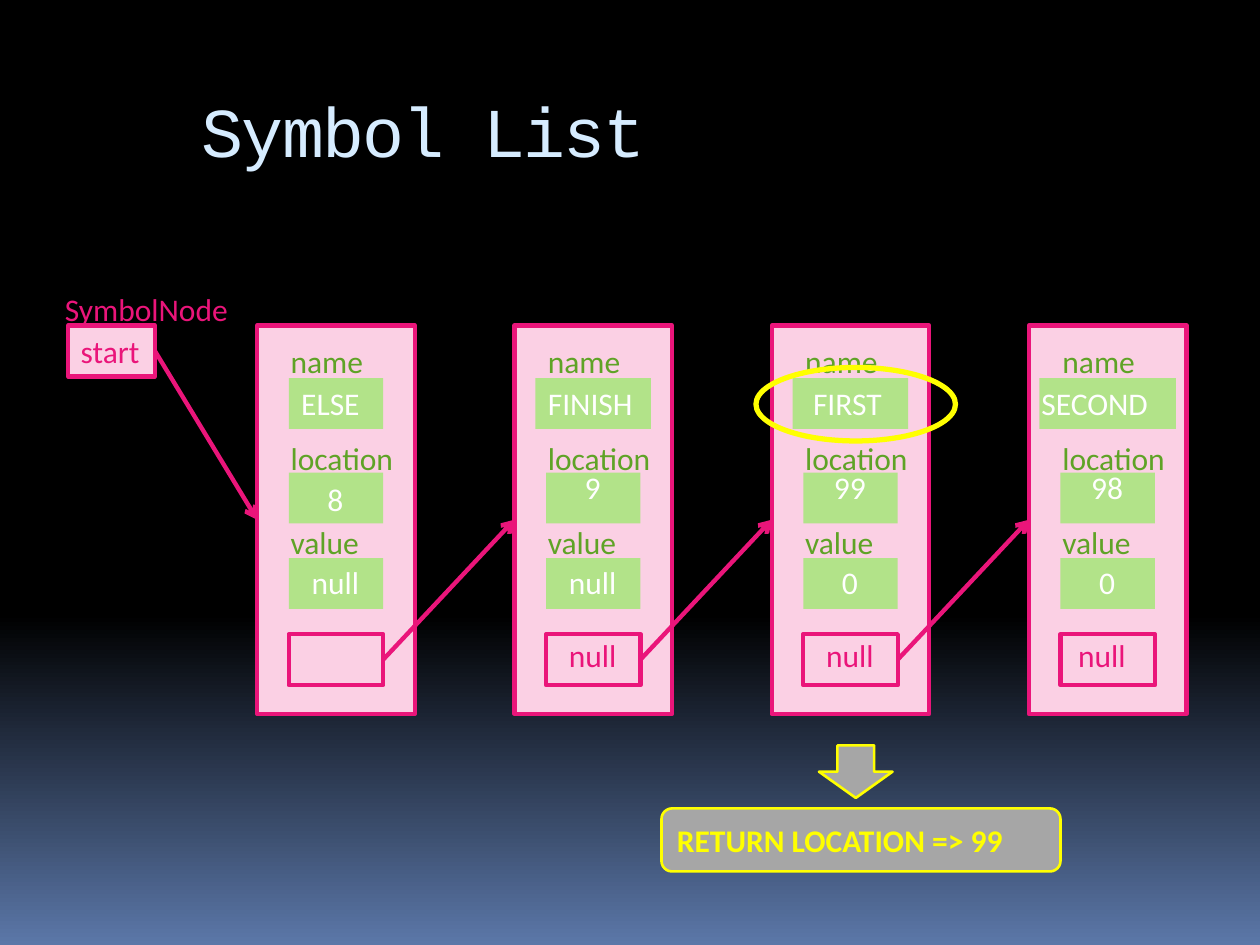
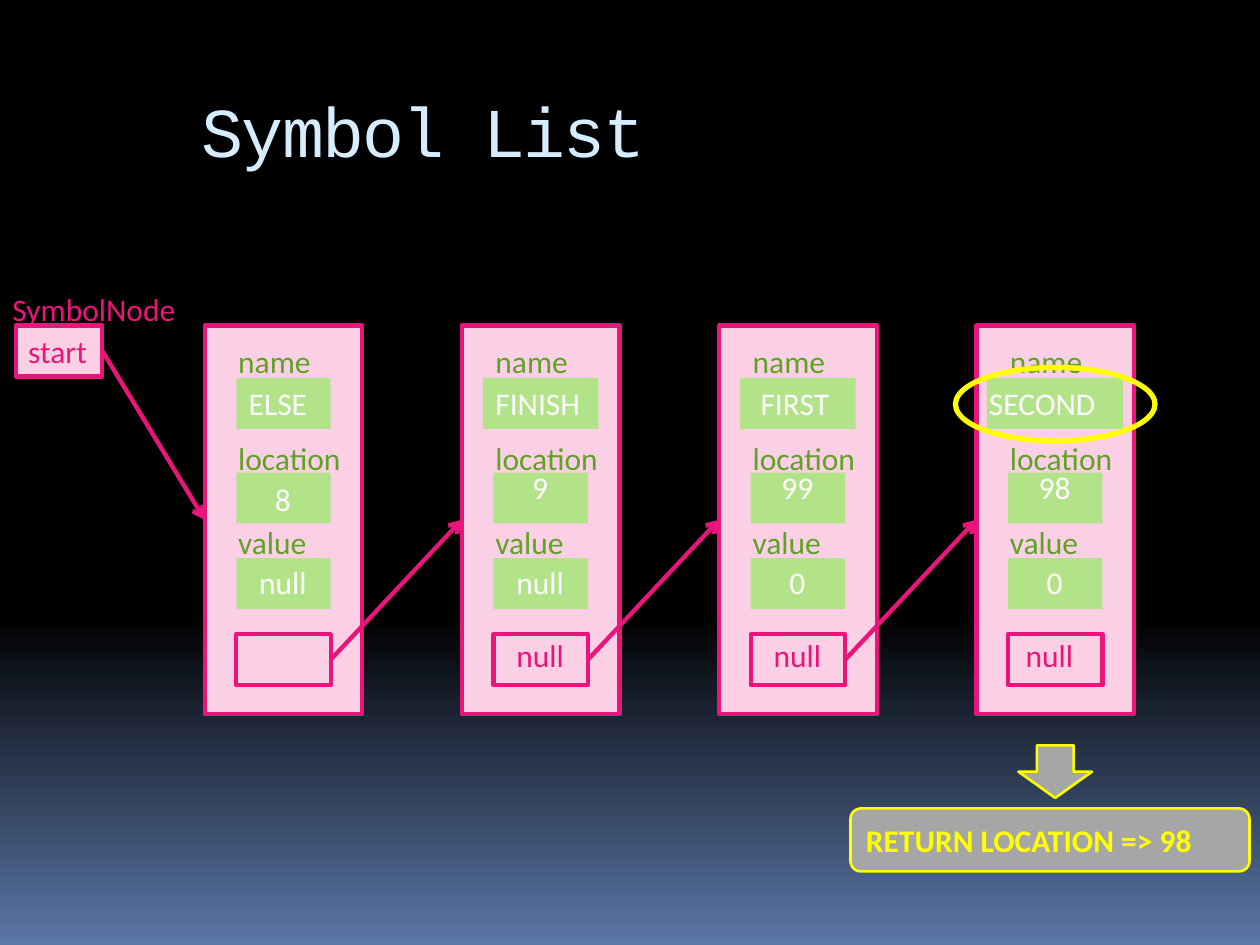
from copy import deepcopy
from dataclasses import dataclass

from pptx import Presentation
from pptx.dml.color import RGBColor
from pptx.enum.shapes import MSO_CONNECTOR, MSO_SHAPE
from pptx.enum.text import MSO_ANCHOR, MSO_AUTO_SIZE, PP_ALIGN
from pptx.oxml.ns import qn
from pptx.util import Inches, Pt
from lxml.etree import SubElement

BLACK = RGBColor(0x00, 0x00, 0x00)
WHITE = RGBColor(0xFF, 0xFF, 0xFF)
DUSK = RGBColor(0x5B, 0x77, 0xA8)
ICE = RGBColor(0xD6, 0xEC, 0xFF)
PINK = RGBColor(0xEA, 0x15, 0x7A)
PALE_PINK = RGBColor(0xFB, 0xD0, 0xE4)
GREEN = RGBColor(0x5F, 0xA3, 0x26)
PALE_GREEN = RGBColor(0xB2, 0xE3, 0x89)
YELLOW = RGBColor(0xFF, 0xFF, 0x00)
GREY = RGBColor(0xA6, 0xA6, 0xA6)

SLIDE_WIDTH, SLIDE_HEIGHT = Inches(10), Inches(7.5)
UNIT = SLIDE_WIDTH / 240
LIST_TOP = 54
NODE_TOP = 62
NODE_WIDTH, NODE_HEIGHT = 30, 74
NODE_OFFSET, NODE_STEP = 39, 49
FIELD_WIDTH, FIELD_HEIGHT = 18, 9.7
TEXT_WIDTHS = {
    "SymbolNode": 37.6, "name": 19, "location": 25, "value": 18.2, "null": 14,
    "0": 8, "8": 8, "9": 8, "98": 11, "99": 11,
    "ELSE": 18, "FINISH": 22.3, "FIRST": 19.7, "SECOND": 27.8,
}


@dataclass
class Node:
    """Contents of one list node, with its name field and text offsets."""
    name: str
    name_width: float
    name_left: float
    location: str
    location_top: float
    value: str
    link: str
    link_left: float


NODES = [
    Node("ELSE", 18, 6, "8", 28.3, "null", "", 8),
    Node("FINISH", 22, 4, "9", 26, "null", "null", 8),
    Node("FIRST", 22, 5.5, "99", 26, "0", "null", 8),
    Node("SECOND", 26, 0, "98", 26, "0", "null", 7),
]


def grid(*lengths):
    """Turn grid units into slide lengths."""
    return [round(length * UNIT) for length in lengths]


def write(shape, text, color, bold=False):
    """Fill a shape with one left-aligned line of text."""
    paragraph = shape.text_frame.paragraphs[0]
    paragraph.text = text
    paragraph.alignment = PP_ALIGN.LEFT
    paragraph.font.name = "Calibri"
    paragraph.font.size = Pt(18)
    paragraph.font.bold = bold
    paragraph.font.color.rgb = color


def fit(shape):
    """Let a shape hug its unwrapped text."""
    shape.text_frame.word_wrap = False
    shape.text_frame.auto_size = MSO_AUTO_SIZE.SHAPE_TO_FIT_TEXT
    shape.text_frame.vertical_anchor = MSO_ANCHOR.TOP


def add_text(shapes, text, left, top, color):
    """Add a text box at a grid position."""
    box = shapes.add_textbox(*grid(left, top, TEXT_WIDTHS[text], FIELD_HEIGHT))
    write(box, text, color)
    fit(box)


def add_shape(shapes, kind, box, fill=None, line=None, weight=2.5):
    """Add a flat preset shape in a grid box."""
    shape = shapes.add_shape(kind, *grid(*box))
    shape.shadow.inherit = False
    if fill is None:
        shape.fill.background()
    else:
        shape.fill.solid()
        shape.fill.fore_color.rgb = fill
    if line is None:
        shape.line.fill.background()
    else:
        shape.line.color.rgb = line
        shape.line.width = Pt(weight)
    return shape


def add_pointer(shapes, source, target):
    """Join the right side of one box to the left side of another."""
    connector = shapes.add_connector(MSO_CONNECTOR.STRAIGHT, 0, 0, 0, 0)
    connector.begin_connect(source, 3)
    connector.end_connect(target, 1)
    connector.line.color.rgb = PINK
    connector.line.width = Pt(2.5)
    SubElement(connector.line._get_or_add_ln(), qn("a:tailEnd"), type="arrow")
    SubElement(connector._element.spPr, qn("a:effectLst"))


def add_node(slide, node, left, top):
    """Draw one node and return its frame and its link box."""
    shapes = slide.shapes.add_group_shape().shapes

    def add_field(row, width, fill=PALE_GREEN, line=None):
        """Add a field box centred across the node."""
        box = (left + (NODE_WIDTH - width) / 2, top + row, width, FIELD_HEIGHT)
        return add_shape(shapes, MSO_SHAPE.RECTANGLE, box, fill, line)

    def add_centred(text, row):
        """Add white text centred across the node."""
        add_text(shapes, text, left + (NODE_WIDTH - TEXT_WIDTHS[text]) / 2, top + row, WHITE)

    frame = add_shape(shapes, MSO_SHAPE.RECTANGLE, (left, top, NODE_WIDTH, NODE_HEIGHT),
                      PALE_PINK, PINK)
    link = add_field(58.8, FIELD_WIDTH, PALE_PINK, PINK)
    for row, width in ((10, node.name_width), (28, FIELD_WIDTH), (44.3, FIELD_WIDTH)):
        add_field(row, width)
    for text, row in (("name", 2), ("location", 20.4), ("value", 36.4)):
        add_text(shapes, text, left + 4, top + row, GREEN)
    add_text(shapes, node.name, left + node.name_left, top + 10, WHITE)
    add_centred(node.location, node.location_top)
    add_centred(node.value, 44)
    if node.link:
        add_text(shapes, node.link, left + node.link_left, top + 58, PINK)
    return frame, link


def add_symbol_list(slide, left):
    """Draw the start pointer and the chain of nodes."""
    add_text(slide.shapes, "SymbolNode", left, LIST_TOP, PINK)
    start = add_shape(slide.shapes, MSO_SHAPE.RECTANGLE,
                      (left + 3, NODE_TOP, 16.5, FIELD_HEIGHT), PALE_PINK, PINK)
    write(start, "start", PINK)
    fit(start)
    source = start
    pointers = []
    for index, node in enumerate(NODES):
        node_left = left + NODE_OFFSET + index * NODE_STEP
        frame, link = add_node(slide, node, node_left, NODE_TOP)
        pointers.append((source, frame))
        source = link
    for pointer in pointers:
        add_pointer(slide.shapes, *pointer)


def add_result(slide, centre, banner_left, location):
    """Ring the matching name and show the returned location."""
    add_shape(slide.shapes, MSO_SHAPE.OVAL, (centre - 19, NODE_TOP + 8, 38, 14),
              line=YELLOW, weight=3)
    arrow = add_shape(slide.shapes, MSO_SHAPE.RIGHT_ARROW,
                      (centre - 5, NODE_TOP + 78, 10, 14), GREY, YELLOW, 1.5)
    arrow.rotation = 90
    banner = add_shape(slide.shapes, MSO_SHAPE.ROUNDED_RECTANGLE,
                       (banner_left, NODE_TOP + 92, 76, 12), GREY, YELLOW, 1.5)
    banner.text_frame.vertical_anchor = MSO_ANCHOR.MIDDLE
    write(banner, f"RETURN LOCATION => {location}", YELLOW, bold=True)


def set_background(master):
    """Give every slide the black-to-blue gradient."""
    fill = master.background.fill
    fill.gradient()
    fill.gradient_angle = 270
    stops = fill.gradient_stops
    stops[0].color.rgb = BLACK
    stops[1].color.rgb = DUSK
    first = master.background._cSld.find(".//" + qn("a:gs"))
    middle = deepcopy(first)
    middle.set("pos", "65000")
    first.addnext(middle)


def set_title(slide, text):
    """Place and format the slide title."""
    title = slide.shapes.title
    title.left, title.top, title.width, title.height = grid(36, 13.5, 204, 24)
    title.text_frame.vertical_anchor = MSO_ANCHOR.MIDDLE
    title.text_frame.margin_bottom = Inches(0.12)
    paragraph = title.text_frame.paragraphs[0]
    paragraph.text = text
    paragraph.alignment = PP_ALIGN.LEFT
    paragraph.font.name = "Courier New"
    paragraph.font.size = Pt(40)
    paragraph.font.color.rgb = ICE
    paragraph.runs[0]._r.get_or_add_rPr().set("spc", "-100")


def add_search_slide(presentation, list_left, centre, banner_left, location):
    """Build a slide that shows one lookup in the symbol list."""
    slide = presentation.slides.add_slide(presentation.slide_layouts[5])
    set_title(slide, "Symbol List")
    add_symbol_list(slide, list_left)
    add_result(slide, centre, banner_left, location)


def main():
    """Build and save the presentation."""
    presentation = Presentation()
    presentation.slide_width, presentation.slide_height = SLIDE_WIDTH, SLIDE_HEIGHT
    set_background(presentation.slide_master)
    add_search_slide(presentation, 10, 163, 126, "99")
    add_search_slide(presentation, 0, 201, 162, "98")
    presentation.save("out.pptx")


if __name__ == "__main__":
    main()
